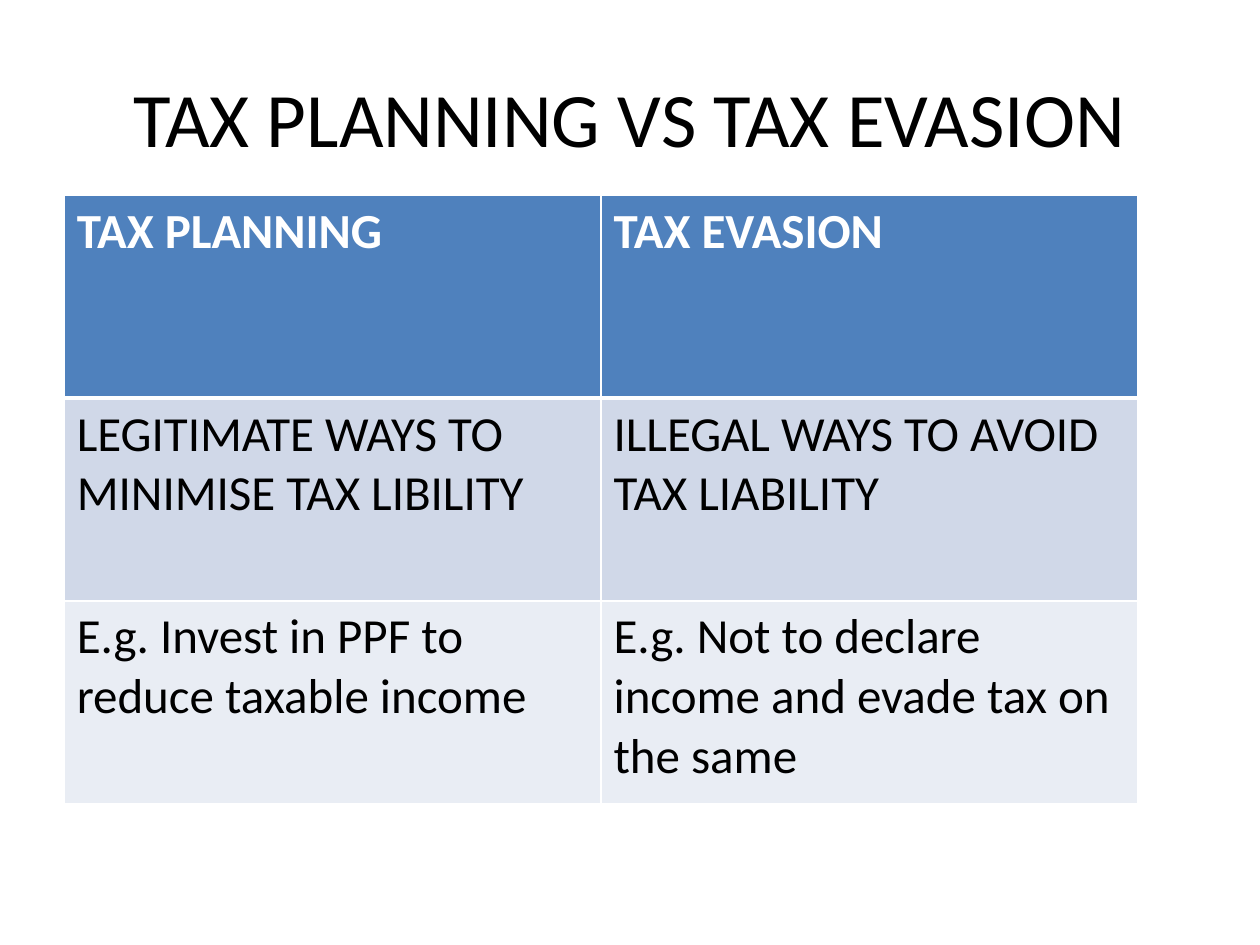
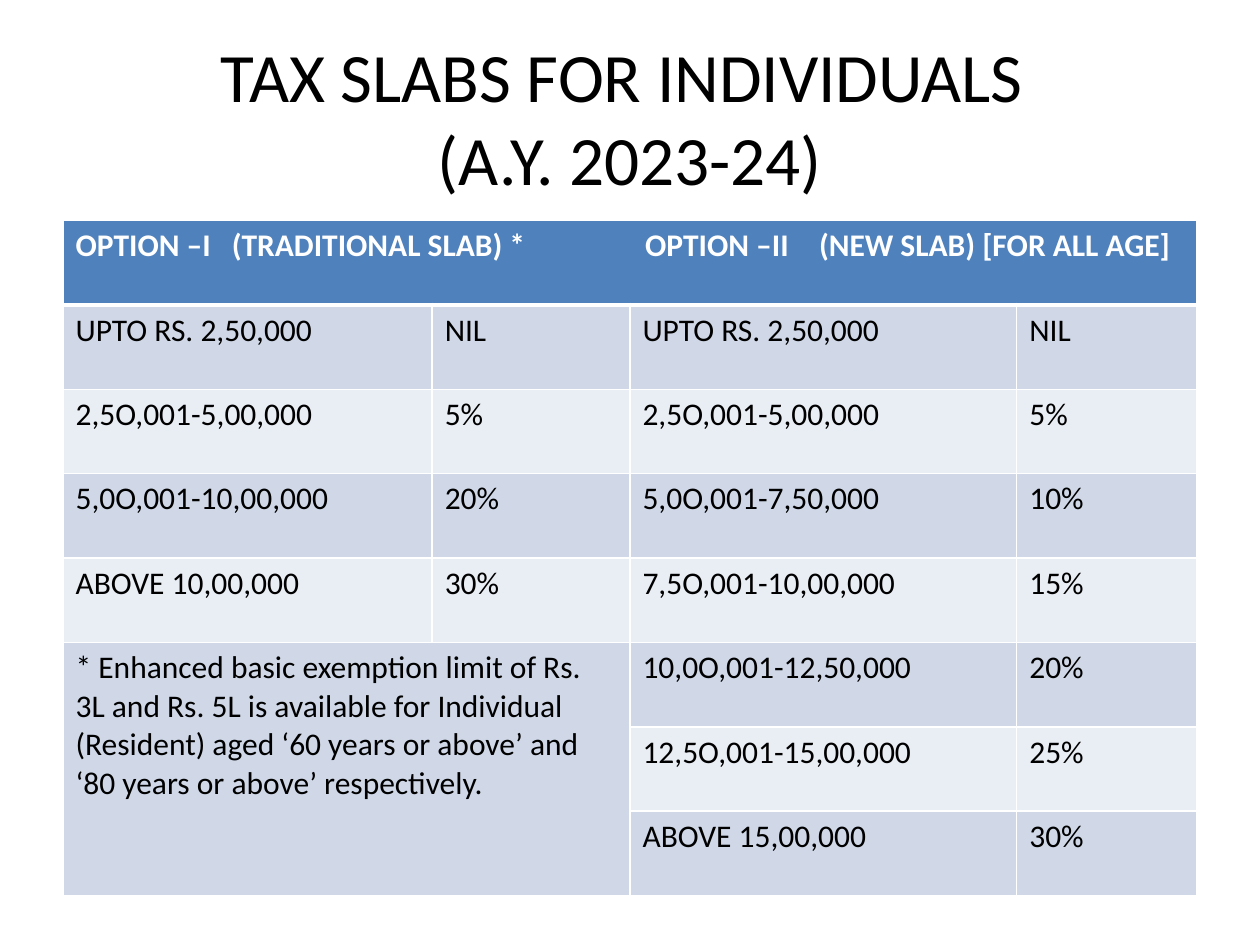
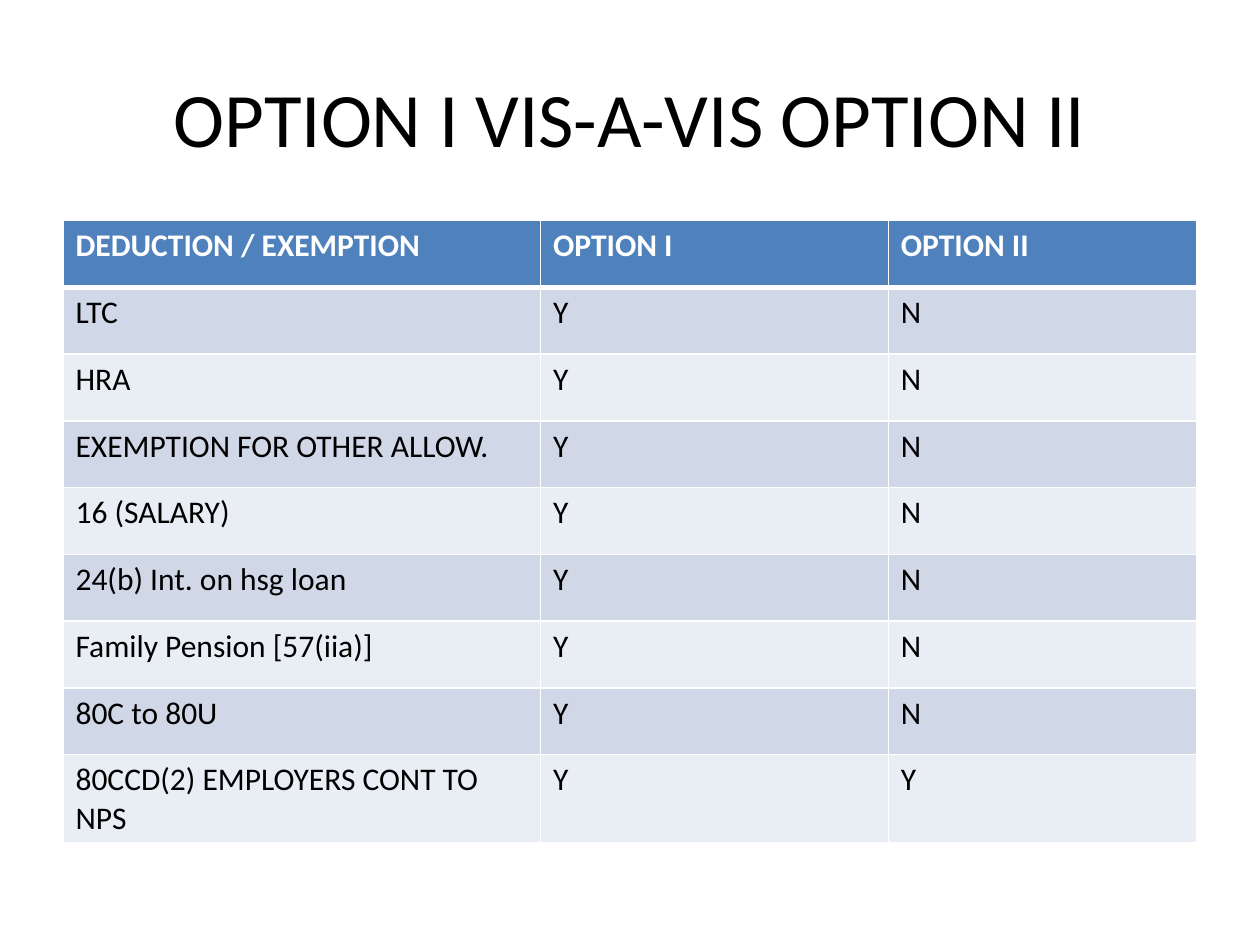
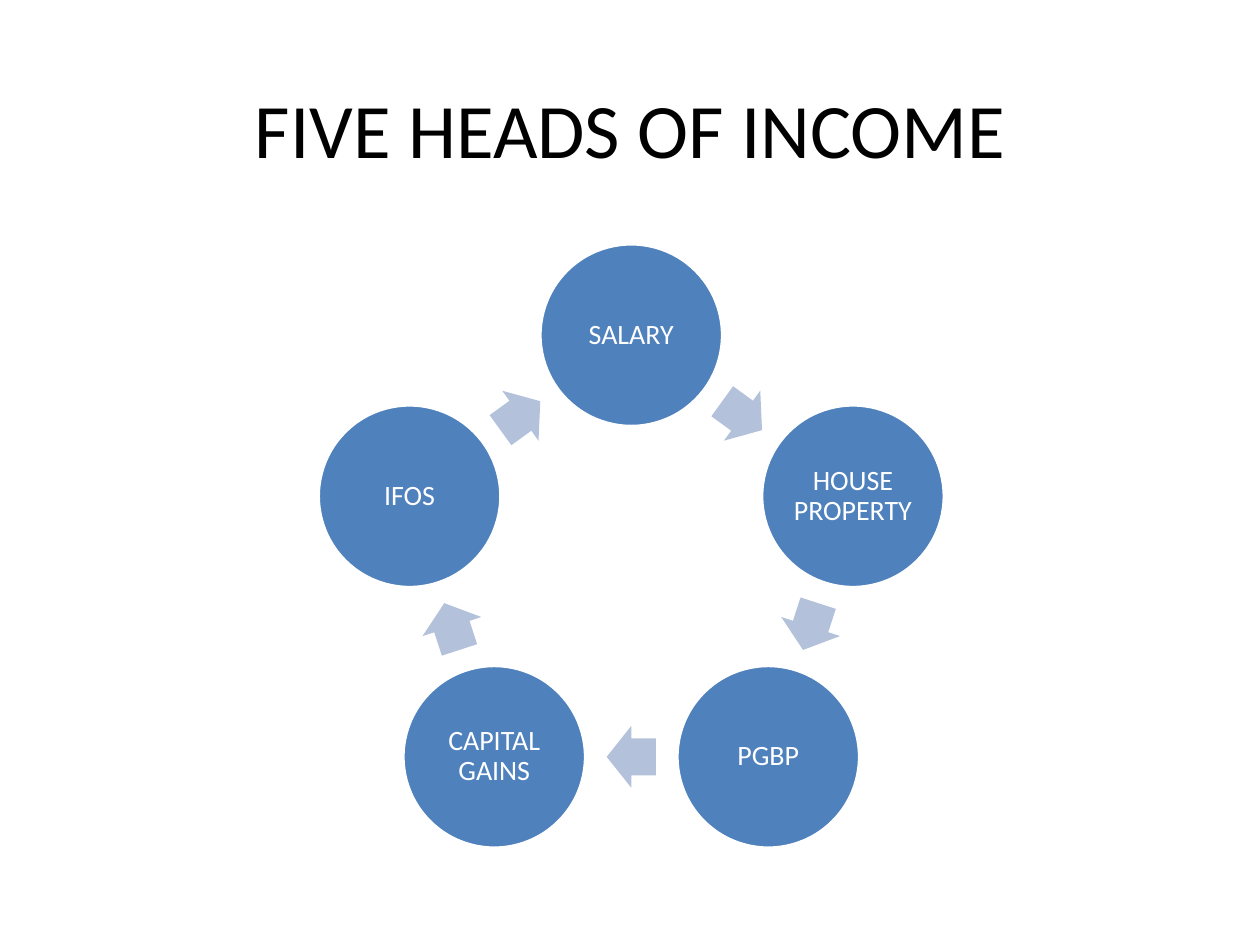
import math

import lxml.etree
import pptx
import pptx.dml.color
import pptx.enum.shapes
import pptx.enum.text
import pptx.oxml.ns
import pptx.util

Inches = pptx.util.Inches
Pt = pptx.util.Pt
RGBColor = pptx.dml.color.RGBColor
MSO_SHAPE = pptx.enum.shapes.MSO_SHAPE
CENTER = pptx.enum.text.PP_ALIGN.CENTER
MIDDLE = pptx.enum.text.MSO_ANCHOR.MIDDLE
qn = pptx.oxml.ns.qn

FONT = "Calibri"
BLACK = RGBColor(0x00, 0x00, 0x00)
WHITE = RGBColor(0xFF, 0xFF, 0xFF)
BLUE = RGBColor(0x4F, 0x81, 0xBD)
BAND_DARK = RGBColor(0xD0, 0xD8, 0xE8)
BAND_LIGHT = RGBColor(0xE9, 0xED, 0xF4)
ARROW_BLUE = RGBColor(0xB3, 0xC1, 0xDB)

prs = pptx.Presentation()
prs.slide_width = Inches(10)
prs.slide_height = Inches(7.5)


def format_text(tf, size, color, bold=False, align=None):
    for p in tf.paragraphs:
        p.alignment = align
        for r in p.runs:
            r.font.name = FONT
            r.font.size = Pt(size)
            r.font.bold = bold
            r.font.color.rgb = color


def add_titled_slide(title, size=44, box=(0.5, 0.3, 9, 1.25)):
    s = prs.slides.add_slide(prs.slide_layouts[6])
    tf = s.shapes.add_textbox(*map(Inches, box)).text_frame
    tf.word_wrap = True
    tf.vertical_anchor = MIDDLE
    tf.text = title
    format_text(tf, size, BLACK, align=CENTER)
    return s


# Slides 1 to 3: a title above a banded table
planning_rows = [
    ["TAX PLANNING", "TAX EVASION"],
    ["LEGITIMATE WAYS TO MINIMISE TAX LIBILITY", "ILLEGAL WAYS TO AVOID TAX LIABILITY"],
    ["E.g. Invest in PPF to reduce taxable income",
     "E.g. Not to declare income and evade tax on the same"],
]
slab_rows = [
    ["OPTION –I\t(TRADITIONAL SLAB) *\tOPTION –II\t(NEW SLAB) [FOR ALL AGE]", "", "", ""],
    ["UPTO RS. 2,50,000", "NIL", "UPTO RS. 2,50,000", "NIL"],
    ["2,5O,001-5,00,000", "5%", "2,5O,001-5,00,000", "5%"],
    ["5,0O,001-10,00,000", "20%", "5,0O,001-7,50,000", "10%"],
    ["ABOVE 10,00,000", "30%", "7,5O,001-10,00,000", "15%"],
    ["* Enhanced basic exemption limit of Rs. 3L and Rs. 5L is available for Individual "
     "(Resident) aged ‘60 years or above’ and ‘80 years or above’ respectively.",
     "", "10,0O,001-12,50,000", "20%"],
    ["", "", "12,5O,001-15,00,000", "25%"],
    ["", "", "ABOVE 15,00,000", "30%"],
]
deductions = ["LTC", "HRA", "EXEMPTION FOR OTHER ALLOW.", "16 (SALARY)",
              "24(b) Int. on hsg loan", "Family Pension [57(iia)]", "80C to 80U"]
option_rows = [
    ["DEDUCTION / EXEMPTION", "OPTION I", "OPTION II"],
    *[[name, "Y", "N"] for name in deductions],
    ["80CCD(2) EMPLOYERS CONT TO NPS", "Y", "Y"],
]

# title, title size, table left, top, column widths, row height, text size, rows, merges
table_slides = [
    ("TAX PLANNING VS TAX EVASION", 44, 0.51, 1.55, [4.26, 4.26], 1.61, 28,
     planning_rows, []),
    ("TAX SLABS FOR INDIVIDUALS \v(A.Y. 2023-24)", 39.6, 0.5, 1.75,
     [2.93, 1.57, 3.07, 1.43], 0.67, 18, slab_rows, [(0, 0, 0, 3), (5, 0, 7, 1)]),
    ("OPTION I VIS-A-VIS OPTION II", 44, 0.5, 1.75, [3.79, 2.76, 2.45], 0.53, 18,
     option_rows, []),
]
header_tabs = [1.24, 4.52, 5.9]

for title, title_size, left, top, widths, row_height, size, rows, merges in table_slides:
    s = add_titled_slide(title, title_size)
    table = s.shapes.add_table(
        len(rows), len(widths), Inches(left), Inches(top),
        Inches(sum(widths)), Inches(row_height * len(rows))).table
    table.horz_banding = False
    for column, width in zip(table.columns, widths):
        column.width = Inches(width)
    for i, row in enumerate(rows):
        table.rows[i].height = Inches(row_height)
        for j, text in enumerate(row):
            cell = table.cell(i, j)
            cell.text = text
            header = i == 0
            format_text(cell.text_frame, size, WHITE if header else BLACK, header)
            tcPr = cell._tc.get_or_add_tcPr()
            for side in ("lnL", "lnR", "lnT", "lnB"):
                under_header = (i, side) in ((0, "lnB"), (1, "lnT"))
                ln = lxml.etree.SubElement(
                    tcPr, qn("a:" + side), w=str(Pt(3 if under_header else 1)))
                fill = lxml.etree.SubElement(ln, qn("a:solidFill"))
                lxml.etree.SubElement(fill, qn("a:srgbClr"), val=str(WHITE))
            cell.fill.solid()
            cell.fill.fore_color.rgb = BLUE if header else BAND_DARK if i % 2 else BAND_LIGHT
            if "\t" in text:
                pPr = cell.text_frame.paragraphs[0]._p.get_or_add_pPr()
                tabs = lxml.etree.SubElement(pPr, qn("a:tabLst"))
                for pos in header_tabs:
                    lxml.etree.SubElement(tabs, qn("a:tab"), pos=str(Inches(pos)), algn="l")
    for first_row, first_col, last_row, last_col in merges:
        table.cell(first_row, first_col).merge(table.cell(last_row, last_col))

# Slide 4: a ring of five circles with arrows between them
s = add_titled_slide("FIVE HEADS OF INCOME", box=(0.42, 0.44, 9.17, 1.15))
heads = ["SALARY", "HOUSE PROPERTY", "PGBP", "CAPITAL GAINS", "IFOS"]
center_x, center_y, radius = 5.01, 4.51, 1.85
circle_size = 1.45
arrow_width, arrow_height = 0.39, 0.49
step = 360 / len(heads)
arrow_radius = radius * math.cos(math.radians(step / 2))

for i, head in enumerate(heads):
    angle = math.radians(i * step)
    x = center_x + radius * math.sin(angle)
    y = center_y - radius * math.cos(angle)
    sp = s.shapes.add_shape(
        MSO_SHAPE.OVAL, Inches(x - circle_size / 2), Inches(y - circle_size / 2),
        Inches(circle_size), Inches(circle_size))
    sp.shadow.inherit = False
    sp.fill.solid()
    sp.fill.fore_color.rgb = BLUE
    sp.line.color.rgb = WHITE
    sp.line.width = Pt(2)
    tf = sp.text_frame
    tf.word_wrap = True
    tf.vertical_anchor = MIDDLE
    tf.margin_left = tf.margin_right = tf.margin_top = tf.margin_bottom = Inches(0.02)
    tf.text = head
    tf.paragraphs[0].line_spacing = 0.9
    format_text(tf, 16, WHITE, align=CENTER)

    turn = (i + 0.5) * step
    x = center_x + arrow_radius * math.sin(math.radians(turn))
    y = center_y - arrow_radius * math.cos(math.radians(turn))
    sp = s.shapes.add_shape(
        MSO_SHAPE.RIGHT_ARROW, Inches(x - arrow_width / 2), Inches(y - arrow_height / 2),
        Inches(arrow_width), Inches(arrow_height))
    sp.adjustments[0] = 0.6
    sp.adjustments[1] = 0.5
    sp.rotation = turn
    sp.shadow.inherit = False
    sp.fill.solid()
    sp.fill.fore_color.rgb = ARROW_BLUE
    sp.line.fill.background()

prs.save("out.pptx")
